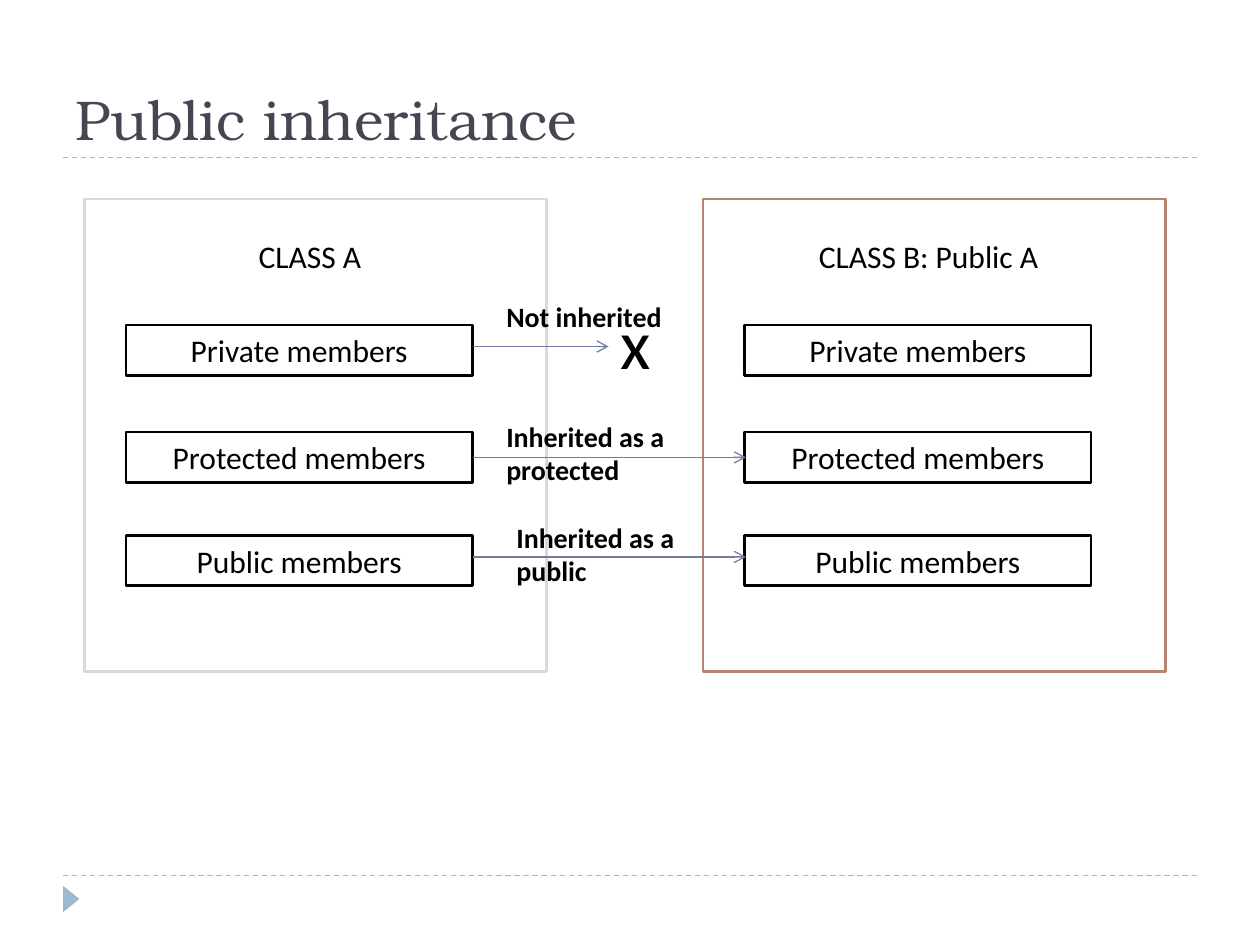
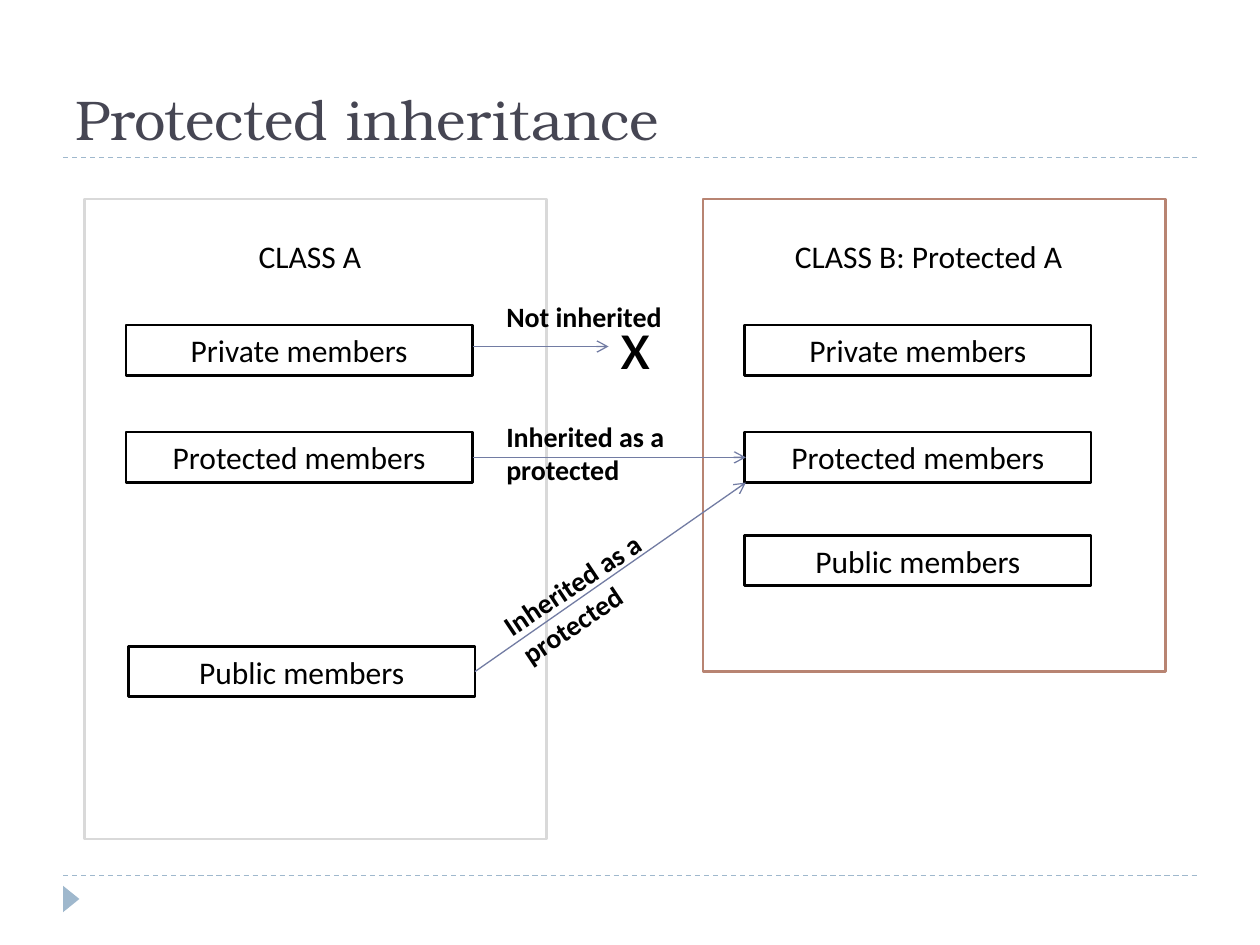
from dataclasses import dataclass

from lxml import etree
from pptx import Presentation
from pptx import util as u
from pptx.dml import color
from pptx.enum import dml, shapes, text
from pptx.oxml import ns


# Theme shared by both slides
@dataclass(frozen=True)
class Theme:
    title_font: str = "TeX Gyre Bonum"
    body_font: str = "Calibri"
    title_size: int = 32
    body_size: int = 18
    note_size: int = 16
    cross_size: int = 40
    title: str = "464653"
    ink: str = "000000"
    paper: str = "FFFFFF"
    rule: str = "9FB8CD"
    arrow: str = "727CA3"
    base_panel: str = "D9D9D9"
    derived_panel: str = "B88472"
    thin: float = 0.75
    thick: float = 1.5


THEME = Theme()

# Content: member boxes are (text, left offset, top), arrows are (from, to),
# notes are (text, left, top, height, rotation)
PRIVATE = ("Private members", 0, 2.58)
PROTECTED = ("Protected members", 0, 3.43)
PUBLIC = ("Public members", 0, 4.25)
PUBLIC_LOWERED = ("Public members", 0.02, 5.13)

SHARED_ARROWS = [((3.75, 2.75), (4.83, 2.75)), ((3.75, 3.63), (5.92, 3.63))]
SHARED_NOTES = [
    ("Not inherited", 3.92, 2.33, 0.37, 0),
    ("Inherited as a protected", 3.92, 3.28, 0.64, 0),
]

SLIDES = [
    {
        "title": "Public inheritance",
        "derived": "CLASS B: Public A",
        "base_height": 3.75,
        "base_members": [PRIVATE, PROTECTED, PUBLIC],
        "public_arrow": ((3.75, 4.42), (5.92, 4.42)),
        "public_note": ("Inherited as a public", 4, 4.08, 0.64, 0),
    },
    {
        "title": "Protected inheritance",
        "derived": "CLASS B: Protected A",
        "base_height": 5.08,
        "base_members": [PRIVATE, PROTECTED, PUBLIC_LOWERED],
        "public_arrow": ((3.77, 5.33), (5.92, 3.83)),
        "public_note": ("Inherited as a protected", 3.87, 4.37, 0.64, -33.8),
    },
]

# Layout
SLIDE_SIZE = (10, 7.5)
RULE_TOPS = (1.25, 6.95)
PANEL_TOP, PANEL_WIDTH, PANEL_HEIGHT = 1.58, 3.67, 3.75
BASE_LEFT, DERIVED_LEFT = 0.67, 5.58
INSET = 0.33
MEMBER_SIZE = (2.75, 0.4)
HEADING_TOP, HEADING_SIZE = 1.83, (2.92, 0.4)
NOTE_WIDTH = 1.67


def rgb(value):
    return color.RGBColor.from_string(value)


def inches(*values):
    return [u.Inches(value) for value in values]


def write(shape, words, size=THEME.body_size, font=THEME.body_font,
          ink=THEME.ink, bold=False, align=text.PP_ALIGN.LEFT,
          anchor=text.MSO_ANCHOR.TOP):
    frame = shape.text_frame
    frame.word_wrap = True
    frame.vertical_anchor = anchor
    paragraph = frame.paragraphs[0]
    paragraph.alignment = align
    run = paragraph.add_run()
    run.text = words
    run.font.size = u.Pt(size)
    run.font.name = font
    run.font.bold = bold
    run.font.color.rgb = rgb(ink)


def add_text(slide, words, box, rotation=0, **style):
    shape = slide.shapes.add_textbox(*inches(*box))
    shape.rotation = rotation
    write(shape, words, **style)


def add_box(slide, box, fill=THEME.paper, line=None,
            kind=shapes.MSO_SHAPE.RECTANGLE):
    shape = slide.shapes.add_shape(kind, *inches(*box))
    shape.shadow.inherit = False
    shape.fill.solid()
    shape.fill.fore_color.rgb = rgb(fill)
    if line:
        shape.line.color.rgb = rgb(line)
        shape.line.width = u.Pt(THEME.thick)
    else:
        shape.line.fill.background()
    return shape


def add_line(slide, start, end, ink, dashed=False, arrow=False):
    connector = slide.shapes.add_connector(
        shapes.MSO_CONNECTOR.STRAIGHT, *inches(*start, *end))
    connector.line.color.rgb = rgb(ink)
    connector.line.width = u.Pt(THEME.thin)
    if dashed:
        connector.line.dash_style = dml.MSO_LINE.DASH
    if arrow:
        outline = connector.line.fill._xPr
        etree.SubElement(outline, ns.qn("a:tailEnd"), type="arrow")
    etree.SubElement(connector._element.spPr, ns.qn("a:effectLst"))


def add_frame(slide, title):
    for top in RULE_TOPS:
        add_line(slide, (0.5, top), (9.5, top), THEME.rule, dashed=True)
    marker = add_box(slide, (0.46, 7.07, 0.21, 0.13), fill=THEME.rule,
                     kind=shapes.MSO_SHAPE.ISOSCELES_TRIANGLE)
    marker.rotation = 90
    add_text(slide, title, (0.5, 0.25, 9, 1), size=THEME.title_size,
             font=THEME.title_font, ink=THEME.title,
             anchor=text.MSO_ANCHOR.BOTTOM)


def add_class(slide, heading, left, height, line, members):
    add_box(slide, (left, PANEL_TOP, PANEL_WIDTH, height), line=line)
    inner = left + INSET
    for name, offset, top in members:
        member = add_box(slide, (inner + offset, top, *MEMBER_SIZE),
                         line=THEME.ink)
        write(member, name, align=text.PP_ALIGN.CENTER)
    add_text(slide, heading, (inner, HEADING_TOP, *HEADING_SIZE),
             align=text.PP_ALIGN.CENTER)


def build_slide(presentation, content):
    slide = presentation.slides.add_slide(presentation.slide_layouts[6])
    add_frame(slide, content["title"])

    # Base and derived class
    add_class(slide, "CLASS A", BASE_LEFT, content["base_height"],
              THEME.base_panel, content["base_members"])
    add_class(slide, content["derived"], DERIVED_LEFT, PANEL_HEIGHT,
              THEME.derived_panel, [PRIVATE, PROTECTED, PUBLIC])

    # How each member is inherited
    for start, end in [*SHARED_ARROWS, content["public_arrow"]]:
        add_line(slide, start, end, THEME.arrow, arrow=True)
    add_text(slide, "x", (4.83, 2.33, 0.75, 0.77), size=THEME.cross_size)
    for words, left, top, height, rotation in [*SHARED_NOTES,
                                               content["public_note"]]:
        add_text(slide, words, (left, top, NOTE_WIDTH, height), rotation,
                 size=THEME.note_size, bold=True)


def main():
    presentation = Presentation()
    presentation.slide_width, presentation.slide_height = inches(*SLIDE_SIZE)
    for content in SLIDES:
        build_slide(presentation, content)
    presentation.save("out.pptx")


if __name__ == "__main__":
    main()
